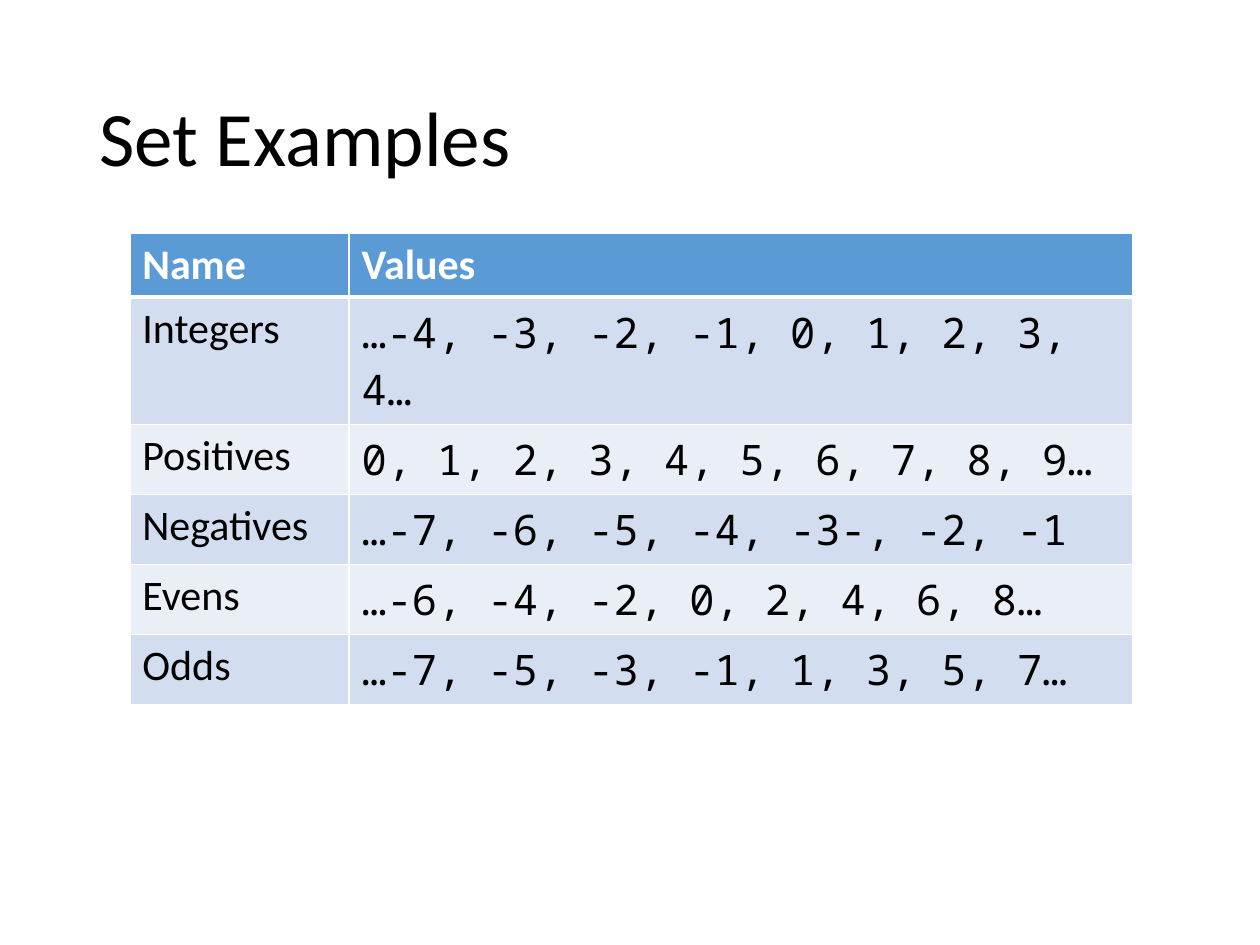
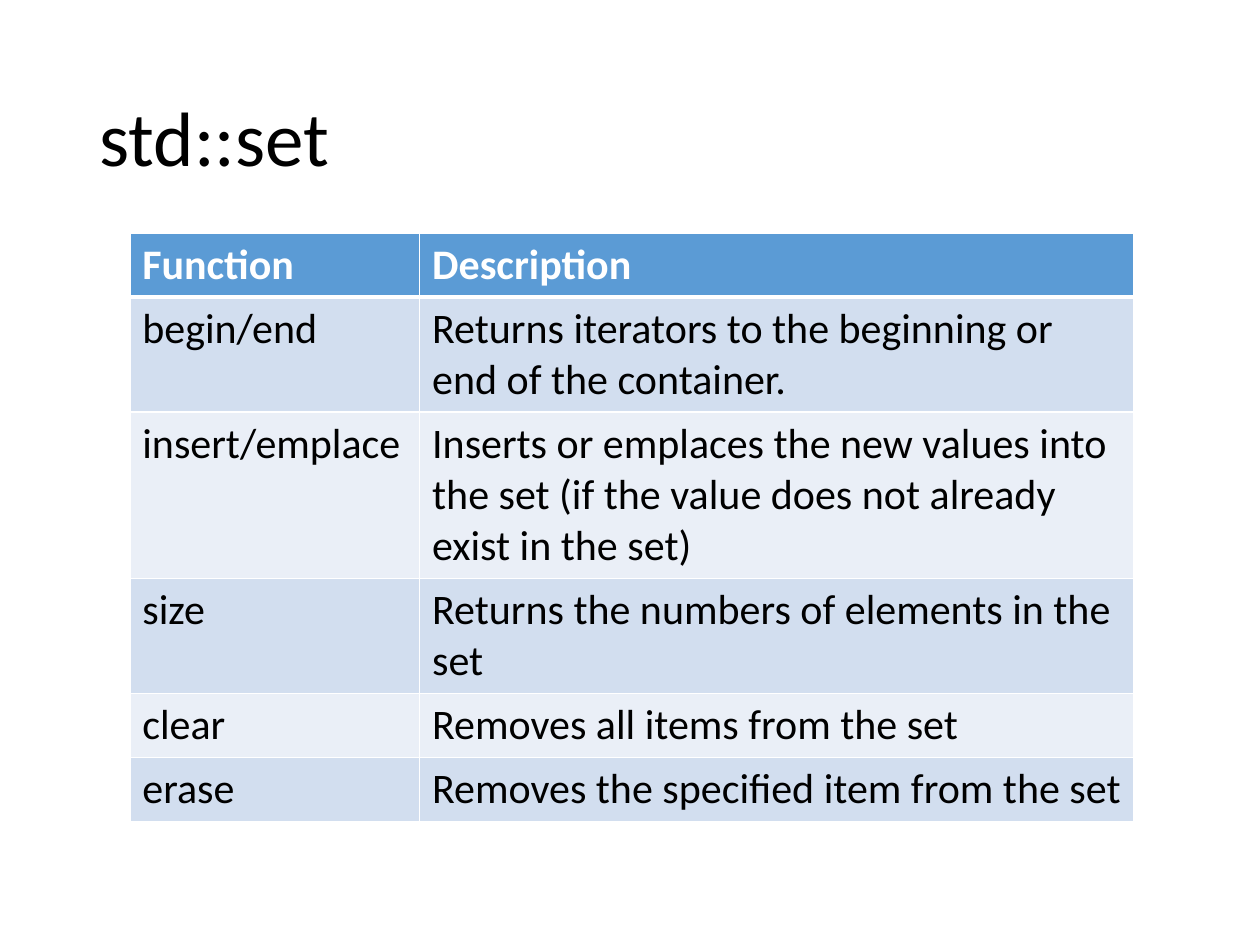
"""Two slides about sets: example sets and the std::set functions."""
import lxml.etree
import pptx
import pptx.dml.color
import pptx.enum.text
import pptx.oxml.ns
import pptx.util

Inches = pptx.util.Inches
Pt = pptx.util.Pt

WHITE, BLACK = "FFFFFF", "000000"
HEADER_FILL = "5B9BD5"
BAND_FILLS = ("D2DEEF", "EAEFF7")
TEXT_FONT, MONO_FONT = "Calibri", "Noto Sans Mono"
TITLE_SIZE, TABLE_SIZE = 44, 24
TABLE_LEFT, TABLE_TOP, ROW_HEIGHT = 1.03, 1.85, 0.41
THIN, THICK = 1, 3

SET_EXAMPLES = [
    ("Name", "Values"),
    ("Integers", "…-4, -3, -2, -1, 0, 1, 2, 3, 4…"),
    ("Positives", "0, 1, 2, 3, 4, 5, 6, 7, 8, 9…"),
    ("Negatives", "…-7, -6, -5, -4, -3-, -2, -1"),
    ("Evens", "…-6, -4, -2, 0, 2, 4, 6, 8…"),
    ("Odds", "…-7, -5, -3, -1, 1, 3, 5, 7…"),
]
SET_FUNCTIONS = [
    ("Function", "Description"),
    ("begin/end", "Returns iterators to the beginning or end of the container."),
    ("insert/emplace", "Inserts or emplaces the new values into the set "
                       "(if the value does not already exist in the set)"),
    ("size", "Returns the numbers of elements in the set"),
    ("clear", "Removes all items from the set"),
    ("erase", "Removes the specified item from the set"),
]


def color(value):
    """Turn a hex string into a colour."""
    return pptx.dml.color.RGBColor.from_string(value)


def add_run(para, text, size, ink, font=TEXT_FONT, bold=False):
    """Add one formatted run to a paragraph."""
    span = para.add_run()
    span.text = text
    span.font.name = font
    span.font.size = Pt(size)
    span.font.bold = bold
    span.font.color.rgb = color(ink)


def add_page(deck, title):
    """Add a title-only slide with the shared title style."""
    page = deck.slides.add_slide(deck.slide_layouts[5])
    box = page.shapes.title
    box.left, box.top = Inches(0.69), Inches(0.4)
    box.width, box.height = Inches(8.62), Inches(1.45)
    frame = box.text_frame
    frame.word_wrap = True
    frame.auto_size = pptx.enum.text.MSO_AUTO_SIZE.NONE
    frame.vertical_anchor = pptx.enum.text.MSO_ANCHOR.MIDDLE
    para = frame.paragraphs[0]
    para.alignment = pptx.enum.text.PP_ALIGN.LEFT
    para.line_spacing = 0.9
    add_run(para, title, TITLE_SIZE, BLACK)
    return page


def set_borders(cell, top, bottom):
    """Draw white cell borders, with the given top and bottom widths."""
    qn = pptx.oxml.ns.qn
    properties = cell._tc.get_or_add_tcPr()
    sides = (("lnL", THIN), ("lnR", THIN), ("lnT", top), ("lnB", bottom))
    for index, (side, width) in enumerate(sides):
        line = lxml.etree.Element(qn("a:" + side), w=str(Pt(width)))
        fill = lxml.etree.SubElement(line, qn("a:solidFill"))
        lxml.etree.SubElement(fill, qn("a:srgbClr"), val=WHITE)
        properties.insert(index, line)


def add_banded_table(page, rows, widths, value_font=TEXT_FONT):
    """Add a table with a header row and alternating row fills."""
    frame = page.shapes.add_table(
        len(rows), len(widths), Inches(TABLE_LEFT), Inches(TABLE_TOP),
        Inches(sum(widths)), Inches(ROW_HEIGHT * len(rows)))
    table = frame.table
    for column, width in zip(table.columns, widths):
        column.width = Inches(width)
    for r, texts in enumerate(rows):
        header = r == 0
        table.rows[r].height = Inches(ROW_HEIGHT)
        for c, text in enumerate(texts):
            cell = table.cell(r, c)
            cell.fill.solid()
            cell.fill.fore_color.rgb = color(
                HEADER_FILL if header else BAND_FILLS[(r - 1) % 2])
            set_borders(cell, THICK if r == 1 else THIN,
                        THICK if header else THIN)
            font = value_font if c and not header else TEXT_FONT
            add_run(cell.text_frame.paragraphs[0], text, TABLE_SIZE,
                    WHITE if header else BLACK, font, header)


def main():
    """Build and save the deck."""
    deck = pptx.Presentation()
    deck.slide_width, deck.slide_height = Inches(10), Inches(7.5)
    add_banded_table(add_page(deck, "Set Examples"), SET_EXAMPLES,
                     (1.74, 6.22), MONO_FONT)
    add_banded_table(add_page(deck, "std::set"), SET_FUNCTIONS, (2.3, 5.67))
    deck.save("out.pptx")


main()
